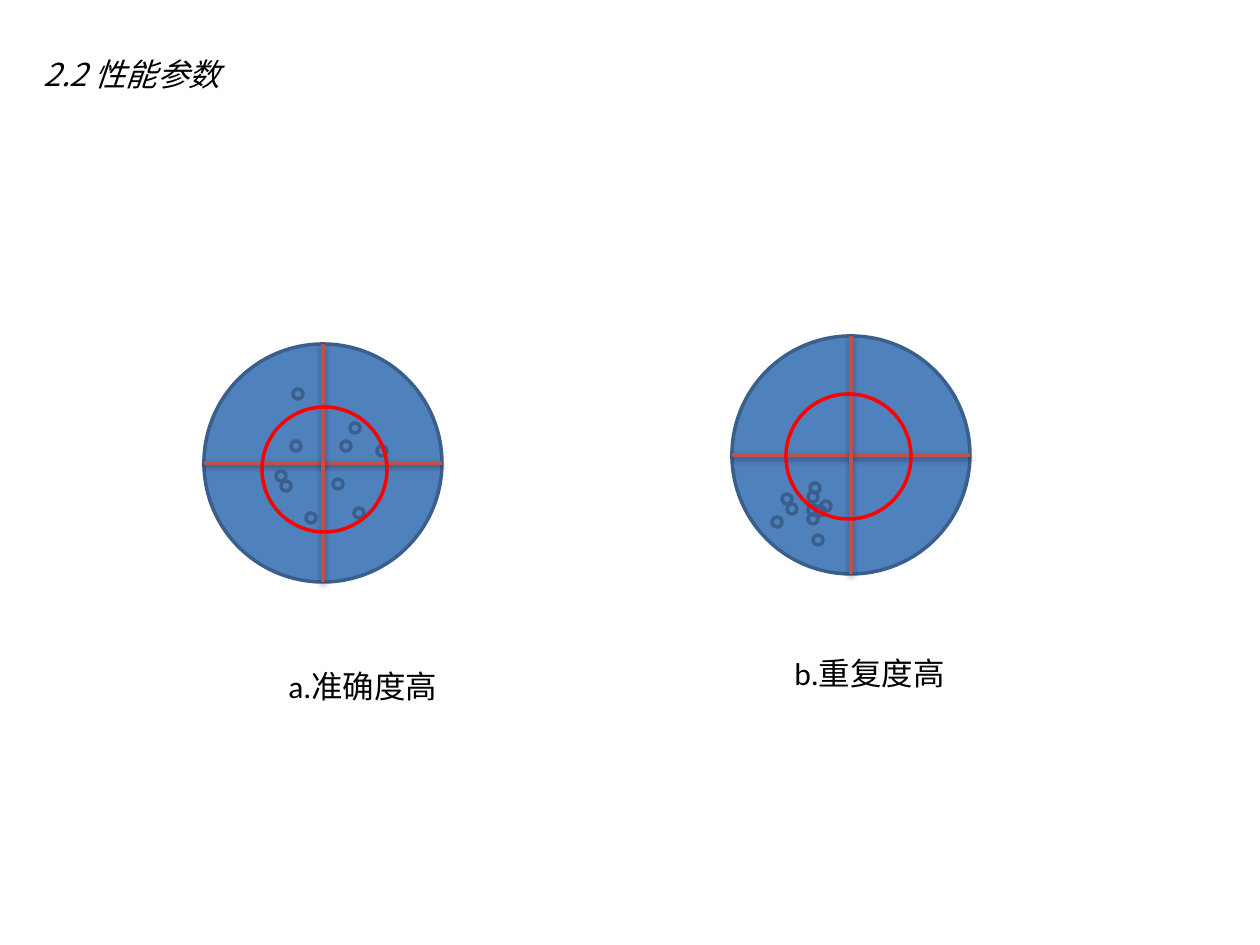
from lxml import etree
from pptx import Presentation
from pptx.dml.color import RGBColor
from pptx.enum.shapes import MSO_CONNECTOR, MSO_SHAPE
from pptx.enum.text import MSO_ANCHOR, PP_ALIGN
from pptx.oxml.ns import qn
from pptx.util import Emu, Pt

OVAL = MSO_SHAPE.OVAL
STRAIGHT = MSO_CONNECTOR.STRAIGHT
PX = 914400 / 126

TITLE = "2.2 性能参数"
CJK_FONT = "Noto Sans CJK SC"
TARGET_SIZE, RING_SIZE, HIT_SIZE = 238, 125, 10
BLUE, DARK_BLUE, BRICK, RED, BLACK = "4F81BD", "3A5F8C", "C0504D", "FF0000", "000000"

# Ring and hit positions are measured from the target's top left corner.
TARGETS = [
    {
        "corner": (204, 344),
        "ring": (58, 63),
        "hits": [(87, 97), (137, 97), (150, 164), (173, 102), (89, 45),
                 (102, 169), (146, 79), (77, 137), (129, 135), (72, 127)],
        "caption": "a.准确度高",
        "caption_box": (276, 661, 176, 50),
    },
    {
        "corner": (732, 336),
        "ring": (54, 58),
        "hits": [(78, 147), (83, 170), (76, 178), (76, 169), (40, 181),
                 (81, 199), (76, 156), (55, 168), (89, 165), (50, 158)],
        "caption": "b.重复度高",
        "caption_box": (782, 648, 178, 50),
    },
]


def px(value):
    return Emu(round(value * PX))


def color(hex_string):
    return RGBColor.from_string(hex_string)


def add_circle(shapes, left, top, size, line, fill=None):
    circle = shapes.add_shape(OVAL, px(left), px(top), px(size), px(size))
    circle.shadow.inherit = False
    if fill:
        circle.fill.solid()
        circle.fill.fore_color.rgb = color(fill)
    else:
        circle.fill.background()
    circle.line.color.rgb = color(line)
    circle.line.width = Pt(2)


def add_crosshair(shapes, *ends):
    """Add one line of the cross, with a soft shadow straight below it."""
    connector = shapes.add_connector(STRAIGHT, *map(px, ends))
    connector.line.color.rgb = color(BRICK)
    connector.line.width = Pt(2)
    effects = etree.SubElement(connector._element.spPr, qn("a:effectLst"))
    shadow = etree.SubElement(effects, qn("a:outerShdw"), blurRad="40000",
                              dist="20000", dir="5400000", rotWithShape="0")
    shade = etree.SubElement(shadow, qn("a:srgbClr"), val=BLACK)
    etree.SubElement(shade, qn("a:alpha"), val="38000")


def write_text(shape, text, font_name, italic=False):
    shape.text_frame.word_wrap = True
    shape.text_frame.text = text
    paragraph = shape.text_frame.paragraphs[0]
    paragraph.alignment = PP_ALIGN.LEFT
    font = paragraph.runs[0].font
    font.size = Pt(18)
    font.name = font_name
    font.italic = italic
    font.color.rgb = color(BLACK)
    latin = font._element.find(qn("a:latin"))
    latin.addnext(etree.Element(qn("a:ea"), typeface=CJK_FONT))


def add_target(slide, target):
    left, top = target["corner"]
    right, bottom = left + TARGET_SIZE, top + TARGET_SIZE
    middle_x, middle_y = left + TARGET_SIZE / 2, top + TARGET_SIZE / 2
    shapes = slide.shapes.add_group_shape().shapes
    add_circle(shapes, left, top, TARGET_SIZE, DARK_BLUE, BLUE)
    add_crosshair(shapes, left, middle_y, right, middle_y)
    add_crosshair(shapes, middle_x, top, middle_x, bottom)
    for x, y in target["hits"]:
        add_circle(shapes, left + x, top + y, HIT_SIZE, DARK_BLUE)
    ring_x, ring_y = target["ring"]
    add_circle(shapes, left + ring_x, top + ring_y, RING_SIZE, RED)
    caption = slide.shapes.add_textbox(*map(px, target["caption_box"]))
    write_text(caption, target["caption"], "Calibri")


def main():
    presentation = Presentation()
    presentation.slide_width, presentation.slide_height = px(1260), px(945)
    slide = presentation.slides.add_slide(presentation.slide_layouts[5])
    title = slide.shapes.title
    title.left, title.top, title.width, title.height = map(px, (31, 42, 370, 63))
    write_text(title, TITLE, CJK_FONT, italic=True)
    title.text_frame.vertical_anchor = MSO_ANCHOR.MIDDLE
    for target in TARGETS:
        add_target(slide, target)
    presentation.save("out.pptx")


if __name__ == "__main__":
    main()
